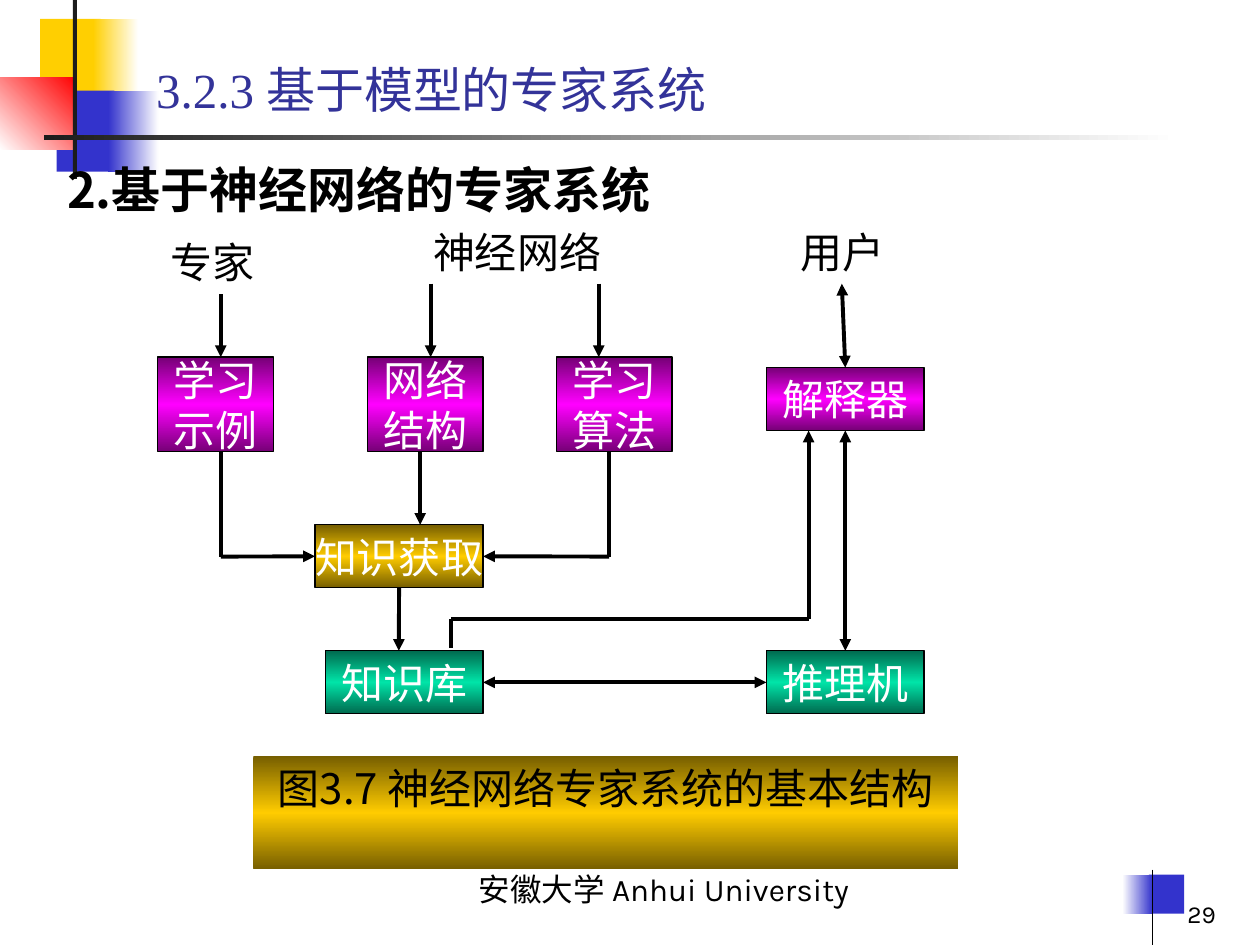
from lxml.etree import SubElement
from pptx import Presentation
from pptx.dml.color import RGBColor
from pptx.enum.shapes import MSO_CONNECTOR, MSO_SHAPE
from pptx.enum.text import MSO_ANCHOR, PP_ALIGN
from pptx.oxml.ns import qn
from pptx.util import Cm, Pt

CJK = "Noto Sans CJK SC"
MAGENTA = ("760076", "FF00FF", "760076")
GOLD = ("765E00", "FFCC00", "765E00")
GREEN = ("006A4E", "00E4A8", "006A4E")
TOP, LEFT, BOTTOM, RIGHT = range(4)


def rgb(color):
    """Turn a hex string into a colour."""
    return RGBColor.from_string(color)


def set_font(font, size, name, color, east=CJK):
    """Set size, Latin and East Asian typeface and colour."""
    font.size, font.name = Pt(size), name
    font.color.rgb = rgb(color)
    SubElement(font._element, qn("a:ea")).set("typeface", east)


def set_gradient(shape, colors, angle):
    """Fill a shape with evenly spaced gradient stops."""
    shape.fill.gradient()
    grad = shape.element.spPr.find(qn("a:gradFill"))
    stops = grad.find(qn("a:gsLst"))
    for stop in list(stops):
        stops.remove(stop)
    for i, color in enumerate(colors):
        stop = SubElement(stops, qn("a:gs"))
        stop.set("pos", str(100000 * i // (len(colors) - 1)))
        SubElement(stop, qn("a:srgbClr")).set("val", color)
    grad.find(qn("a:lin")).set("ang", str(angle * 60000))


def add_rect(s, at, colors, angle=90):
    """Add a borderless rectangle, plain or with a gradient."""
    sp = s.shapes.add_shape(MSO_SHAPE.RECTANGLE, *map(Cm, at))
    sp.shadow.inherit = False
    sp.line.fill.background()
    if len(colors) == 1:
        sp.fill.solid()
        sp.fill.fore_color.rgb = rgb(colors[0])
    else:
        set_gradient(sp, colors, angle)
    return sp


def write(sp, text, size, name, color, align, anchor, wrap=True):
    """Write uniformly formatted lines into a shape."""
    tf = sp.text_frame
    tf.word_wrap, tf.vertical_anchor = wrap, anchor
    tf.text = text
    for p in tf.paragraphs:
        p.alignment = align
        set_font(p.font, size, name, color)


def add_box(s, text, at, colors):
    """Add an outlined diagram box."""
    sp = add_rect(s, at, colors)
    sp.line.color.rgb = rgb("000000")
    sp.line.width = Pt(0.75)
    write(sp, text, 24, "Arial", "FFFFFF", PP_ALIGN.CENTER, MSO_ANCHOR.MIDDLE, False)
    return sp


def add_text(s, text, at, size=24, name="Arial", align=PP_ALIGN.LEFT,
             anchor=MSO_ANCHOR.TOP, wrap=True):
    """Add a black text box."""
    tb = s.shapes.add_textbox(*map(Cm, at))
    write(tb, text, size, name, "000000", align, anchor, wrap)


def add_line(s, start, end, arrows="", width=2.25):
    """Link two ends, each a point or a (shape, site) pair."""
    joined = [not isinstance(e[0], (int, float)) for e in (start, end)]
    points = [(0, 0) if j else e for j, e in zip(joined, (start, end))]
    line = s.shapes.add_connector(MSO_CONNECTOR.STRAIGHT,
                                  *(Cm(v) for point in points for v in point))
    if joined[0]:
        line.begin_connect(*start)
    if joined[1]:
        line.end_connect(*end)
    line.line.color.rgb = rgb("000000")
    line.line.width = Pt(width)
    ln = line.line._get_or_add_ln()
    for tag in arrows.split():
        SubElement(ln, qn(f"a:{tag}")).set("type", "triangle")
    SubElement(line.element.spPr, qn("a:effectLst"))


def add_decoration(s):
    """Draw the coloured corner, the title rule and the page mark."""
    for at, colors, angle in (
        ((0.81, 0.38, 1.22, 1.63), ["FFCF01"], 0),
        ((1.88, 0.38, 0.91, 1.63), ["FFCF01", "FFFFFF"], 0),
        ((1.14, 1.83, 1.17, 1.63), ["3333CC"], 0),
        ((2.18, 1.83, 1.02, 1.63), ["3333CC", "FFFFFF"], 0),
        ((0, 1.57, 1.55, 1.45), ["FFFFFF", "FF0000"], 315),
        ((1.47, 0, 0.08, 3.61), ["1C1C1C"], 0),
        ((0.89, 2.72, 22.86, 0.1), ["1C1C1C", "FFFFFF"], 0),
        ((23.16, 17.63, 0.71, 0.79), ["3333CC"], 0),
        ((22.63, 17.63, 0.61, 0.79), ["FFFFFF", "3333CC"], 0),
    ):
        add_rect(s, at, colors, angle)
    add_line(s, (23.24, 17.53), (23.24, 19.05), width=0.75)


def add_headings(s):
    """Write the section heading and the slide title."""
    tb = s.shapes.add_textbox(Cm(2.9), Cm(0.91), Cm(19.69), Cm(1.6))
    tf = tb.text_frame
    tf.word_wrap, tf.vertical_anchor = True, MSO_ANCHOR.BOTTOM
    p = tf.paragraphs[0]
    for text, name in (("3.2.3 ", "Times New Roman"),
                       ("基于模型的专家系统", "Noto Sans CJK JP")):
        r = p.add_run()
        r.text = text
        set_font(r.font, 28, name, "333399", "Noto Sans CJK JP")

    title = s.shapes.title
    title.left, title.top, title.width, title.height = map(Cm, (0.41, 2.59, 19.69, 1.93))
    write(title, "2.基于神经网络的专家系统", 28, CJK, "000000", PP_ALIGN.LEFT, MSO_ANCHOR.BOTTOM)
    p = title.text_frame.paragraphs[0]
    p.font.bold = True
    p._p.get_or_add_pPr().set("marL", str(Cm(0.69)))
    s.shapes._spTree.append(title.element)


def add_diagram(s):
    """Draw the boxes, labels and arrows of the expert system."""
    for text, x in (("学习\n示例", 3.18), ("网络\n结构", 7.41), ("学习\n算法", 11.22)):
        add_box(s, text, (x, 7.2, 2.33, 1.91), MAGENTA)
    acquire = add_box(s, "知识获取", (6.35, 10.58, 3.39, 1.27), GOLD)
    explain = add_box(s, "解释器", (15.45, 7.41, 3.18, 1.27), MAGENTA)
    base = add_box(s, "知识库", (6.56, 13.12, 3.18, 1.27), GREEN)
    engine = add_box(s, "推理机", (15.45, 13.12, 3.18, 1.27), GREEN)

    for text, x, y, w in (("专家", 3.18, 4.65, 2.4), ("神经网络", 8.48, 4.45, 4.1),
                          ("用户", 15.88, 4.45, 2.4)):
        add_text(s, text, (x, y, w, 1.27), wrap=False)

    one, both = "tailEnd", "headEnd tailEnd"
    for start, end, arrows in (
        ((4.45, 5.93), (4.45, 7.2), one),
        ((8.68, 5.72), (8.68, 7.2), one),
        ((12.07, 5.72), (12.07, 7.2), one),
        ((explain, TOP), (16.97, 5.72), both),
        ((4.45, 9.1), (4.45, 11.22), ""),
        ((4.45, 11.22), (acquire, LEFT), one),
        ((8.47, 9.1), (8.47, 10.58), one),
        ((12.28, 9.1), (12.28, 11.22), ""),
        ((12.28, 11.22), (acquire, RIGHT), one),
        ((acquire, BOTTOM), (8.04, 13.12), one),
        ((9.1, 13.06), (9.1, 12.48), ""),
        ((9.1, 12.48), (16.3, 12.48), ""),
        ((16.3, 12.48), (16.3, 8.68), one),
        ((explain, BOTTOM), (engine, TOP), both),
        ((base, RIGHT), (engine, LEFT), both),
    ):
        add_line(s, start, end, arrows)

    caption = add_rect(s, (5.11, 15.24, 14.2, 2.29), GOLD)
    write(caption, "图3.7 神经网络专家系统的基本结构", 24, CJK, "000000",
          PP_ALIGN.CENTER, MSO_ANCHOR.TOP)


def main():
    """Build the slide and save it."""
    prs = Presentation()
    prs.slide_width, prs.slide_height = Cm(25.4), Cm(19.05)
    s = prs.slides.add_slide(prs.slide_layouts[5])
    add_decoration(s)
    add_diagram(s)
    add_headings(s)
    add_text(s, "安徽大学 Anhui University", (7.29, 17.15, 12.19, 1.27), 18, "Karla",
             PP_ALIGN.CENTER, MSO_ANCHOR.BOTTOM)
    add_text(s, "29", (19.48, 17.53, 5.28, 1.32), 14, "Karla",
             PP_ALIGN.RIGHT, MSO_ANCHOR.BOTTOM)
    prs.save("out.pptx")


if __name__ == "__main__":
    main()
